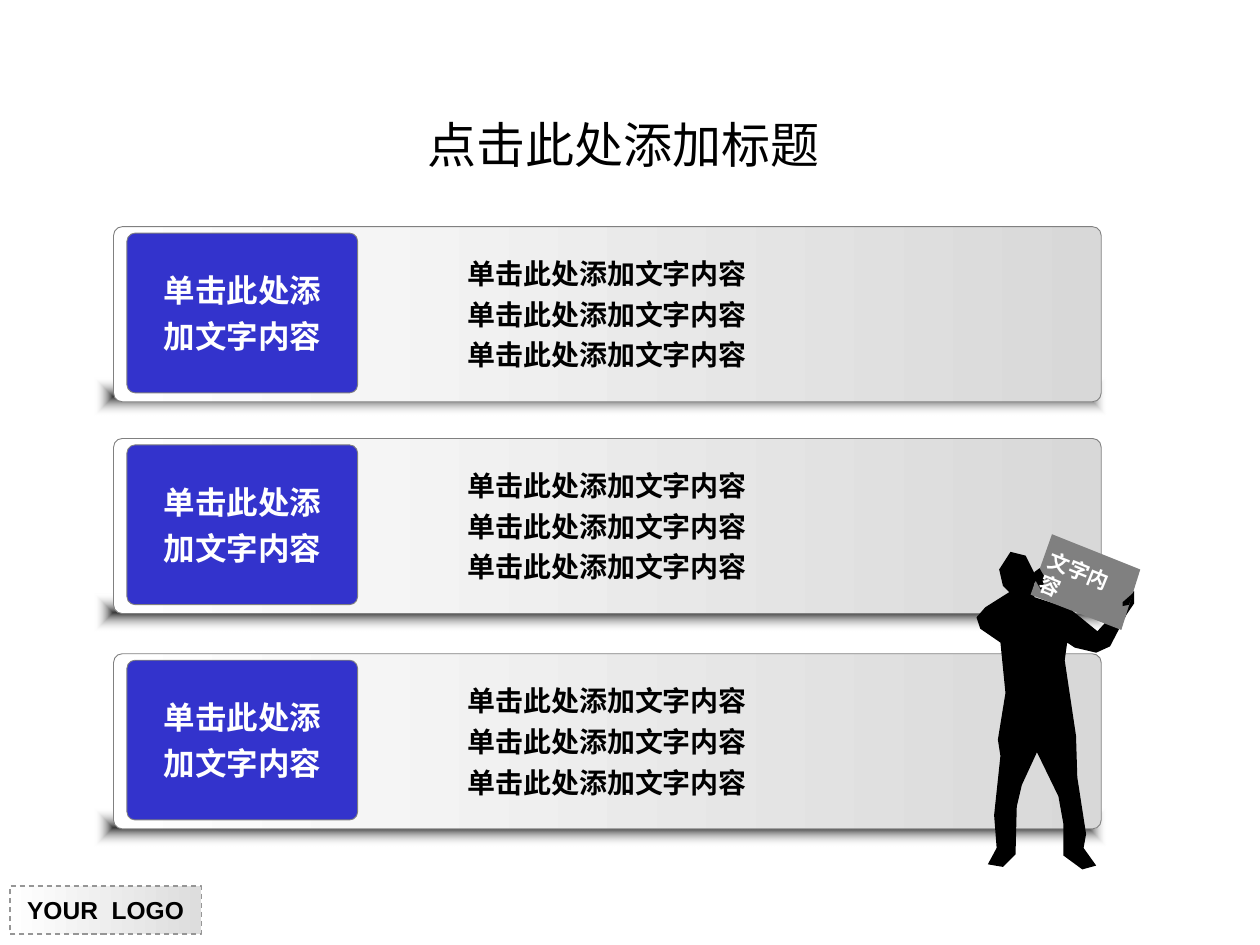
import pptx
import pptx.util
import pptx.dml.color
import pptx.enum.dml
import pptx.enum.shapes
import pptx.enum.text
import pptx.oxml
import pptx.oxml.ns
from pptx.util import Cm

COLORS = {
    "ink": "000000", "white": "FFFFFF", "label": "3333CC", "panel_end": "D8D8D8",
    "badge_end": "DDDDDD", "badge_edge": "969696", "gray": "808080", "shadow": "080808",
}
LATIN, CHINESE = "Arial", "Noto Sans CJK SC"
SHAPES = pptx.enum.shapes.MSO_SHAPE
ALIGN = pptx.enum.text.PP_ALIGN

TITLE = "点击此处添加标题"
BADGE = "YOUR  LOGO"
SIGN = "文字内容"
LABEL_LINES = [("单击此处添", CHINESE), ("加文字内容", CHINESE)]
PANEL_LINES = [("单击此处添加文字内容", font) for font in (CHINESE, LATIN, LATIN)]
# top of each row and distance from there to its shadow, in cm
ROWS = [(4.57, 3.05), (13.18, 3.12), (8.84, 3.12)]

FORMATS = {
    "title": {"size": pptx.util.Pt(28), "bold": False},
    "badge": {"size": pptx.util.Pt(14), "bold": True},
    "panel": {"size": pptx.util.Pt(16), "bold": True},
    "label": {"size": pptx.util.Pt(18), "bold": True},
    "sign": {"size": pptx.util.Pt(12), "bold": True},
}

# outlines in hundredths of an inch
MAN = [
    (847, 510), (845, 524), (854, 584), (855, 617), (862, 662), (860, 673),
    (870, 687), (859, 690), (844, 679), (844, 654), (840, 632), (823, 597),
    (811, 623), (807, 640), (806, 678), (796, 688), (784, 686), (791, 673),
    (789, 647), (794, 600), (792, 587), (798, 550), (794, 510), (778, 499),
    (775, 490), (782, 482), (801, 470), (796, 465), (793, 452), (802, 438),
    (814, 441), (821, 455), (821, 474), (849, 483), (871, 501), (900, 469),
    (900, 479), (894, 488), (881, 513), (870, 518), (853, 514),
]
BOARD = [(835, 424), (818, 472), (890, 500), (905, 452)]
RIGHT_HAND = [(900, 470), (891, 478), (891, 481), (896, 480)]
LEFT_HAND = [(829, 458), (825, 451), (821, 454), (817, 469), (822, 461), (826, 468), (828, 465)]
FIGURE = [(MAN, "ink"), (BOARD, "gray"), (RIGHT_HAND, "ink"), (LEFT_HAND, "ink")]


def rgb(name):
    return pptx.dml.color.RGBColor.from_string(COLORS[name])


def write(shape, lines, role, color, space=0, wrap=False, align=ALIGN.CENTER):
    frame = shape.text_frame
    frame.word_wrap = wrap
    for index, (text, font) in enumerate(lines):
        paragraph = frame.add_paragraph() if index else frame.paragraphs[0]
        paragraph.alignment = align
        paragraph.space_before = pptx.util.Pt(space if index else 0)
        run = paragraph.add_run()
        run.text = text
        run.font.name = font
        run.font.color.rgb = rgb(color)
        for key, value in FORMATS[role].items():
            setattr(run.font, key, value)
        latin = run.font._element.find(pptx.oxml.ns.qn("a:latin"))
        latin.addnext(pptx.oxml.parse_xml(
            f'<a:ea {pptx.oxml.ns.nsdecls("a")} typeface="{CHINESE}"/>'))


def add_block(shapes, kind, box, colors, edge=None, width=0.5):
    """Add a shape filled with one colour, or with a left-to-right gradient of two."""
    block = shapes.add_shape(kind, *map(Cm, box))
    block.shadow.inherit = False
    if len(colors) == 1:
        block.fill.solid()
        block.fill.fore_color.rgb = rgb(colors[0])
    else:
        block.fill.gradient()
        block.fill.gradient_angle = 0
        for stop, color in zip(block.fill.gradient_stops, colors):
            stop.color.rgb = rgb(color)
    if edge:
        block.line.color.rgb = rgb(edge)
        block.line.width = pptx.util.Pt(width)
    else:
        block.line.fill.background()
    if kind == SHAPES.ROUNDED_RECTANGLE:
        block.adjustments[0] = 0.05
    block.text_frame.vertical_anchor = pptx.enum.text.MSO_ANCHOR.MIDDLE
    return block


def fade_outwards(block):
    """Turn a gradient into one that fades from the centre to clear edges."""
    qn = pptx.oxml.ns.qn
    gradient = block._element.spPr.find(qn("a:gradFill"))
    for color, alpha in zip(gradient.iter(qn("a:srgbClr")), (80000, 0)):
        color.append(pptx.oxml.parse_xml(
            f'<a:alpha {pptx.oxml.ns.nsdecls("a")} val="{alpha}"/>'))
    gradient.replace(gradient.find(qn("a:lin")), pptx.oxml.parse_xml(
        f'<a:path {pptx.oxml.ns.nsdecls("a")} path="rect">'
        '<a:fillToRect l="50000" t="50000" r="50000" b="50000"/></a:path>'))


def add_row(slide, top, shadow_drop):
    shapes = slide.shapes.add_group_shape().shapes
    fade_outwards(add_block(shapes, SHAPES.RECTANGLE,
                            (1.9, top + shadow_drop, 20.4, 0.76), ("shadow", "white")))
    panel = add_block(shapes, SHAPES.ROUNDED_RECTANGLE, (2.29, top, 19.91, 3.53),
                      ("white", "panel_end"), "gray")
    write(panel, PANEL_LINES, "panel", "ink", space=4)
    label = add_block(shapes, SHAPES.ROUNDED_RECTANGLE, (2.56, top + 0.13, 4.65, 3.22),
                      ("label",), "gray")
    write(label, LABEL_LINES, "label", "white", space=4.5)


def add_figure(slide):
    shapes = slide.shapes.add_group_shape().shapes
    for outline, color in FIGURE:
        builder = shapes.build_freeform(*outline[0], scale=Cm(2.54) / 100)
        builder.add_line_segments(outline[1:], close=True)
        part = builder.convert_to_shape()
        part.shadow.inherit = False
        part.fill.solid()
        part.fill.fore_color.rgb = rgb(color)
        part.line.fill.background()
    sign = shapes.add_textbox(*map(Cm, (20.85, 11.2, 2.18, 0.76)))
    sign.rotation = 22.3
    write(sign, [(SIGN, LATIN)], "sign", "white", align=ALIGN.LEFT)


def main():
    deck = pptx.Presentation()
    deck.slide_width, deck.slide_height = Cm(25.4), Cm(19.05)
    slide = deck.slides.add_slide(deck.slide_layouts[5])

    title = slide.shapes.title
    title.left, title.top, title.width, title.height = map(Cm, (6.12, 2.01, 12.9, 1.8))
    write(title, [(TITLE, LATIN)], "title", "ink", wrap=True)

    badge = add_block(slide.shapes, SHAPES.RECTANGLE, (0.2, 17.86, 3.86, 0.97),
                      ("white", "badge_end"), "badge_edge", 0.75)
    badge.line.dash_style = pptx.enum.dml.MSO_LINE.DASH
    write(badge, [(BADGE, LATIN)], "badge", "ink")

    for top, shadow_drop in ROWS:
        add_row(slide, top, shadow_drop)
    add_figure(slide)
    deck.save("out.pptx")


if __name__ == "__main__":
    main()
